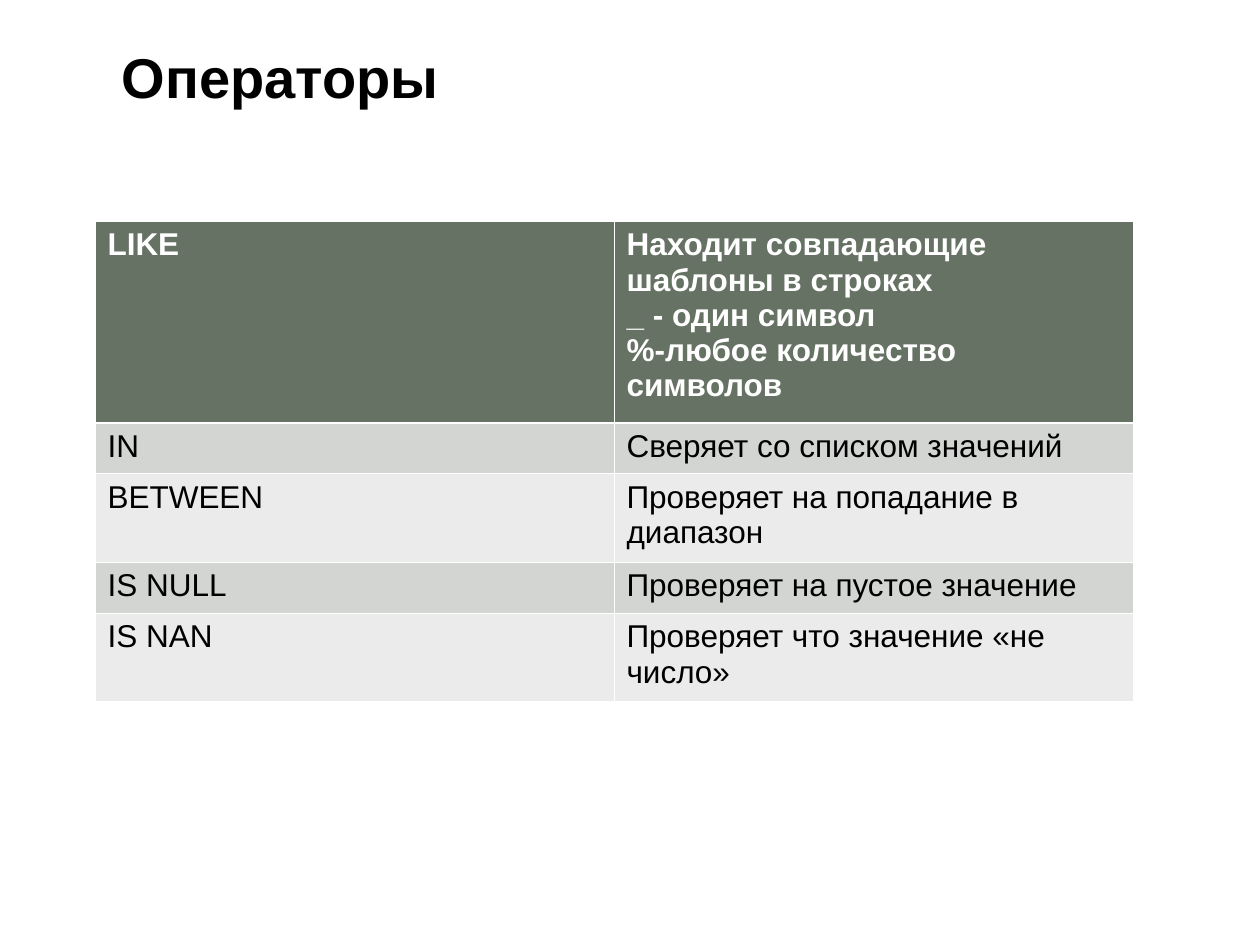
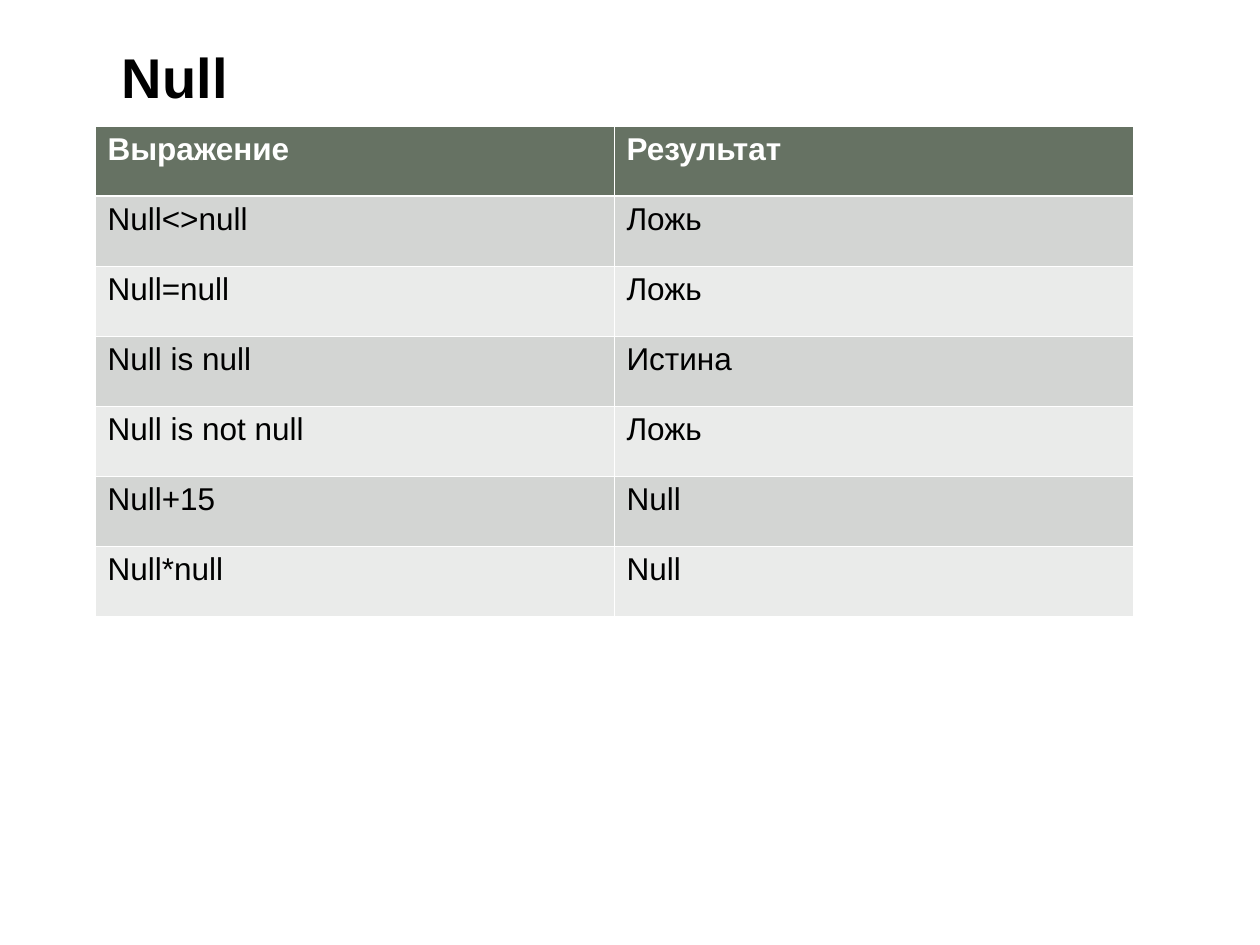
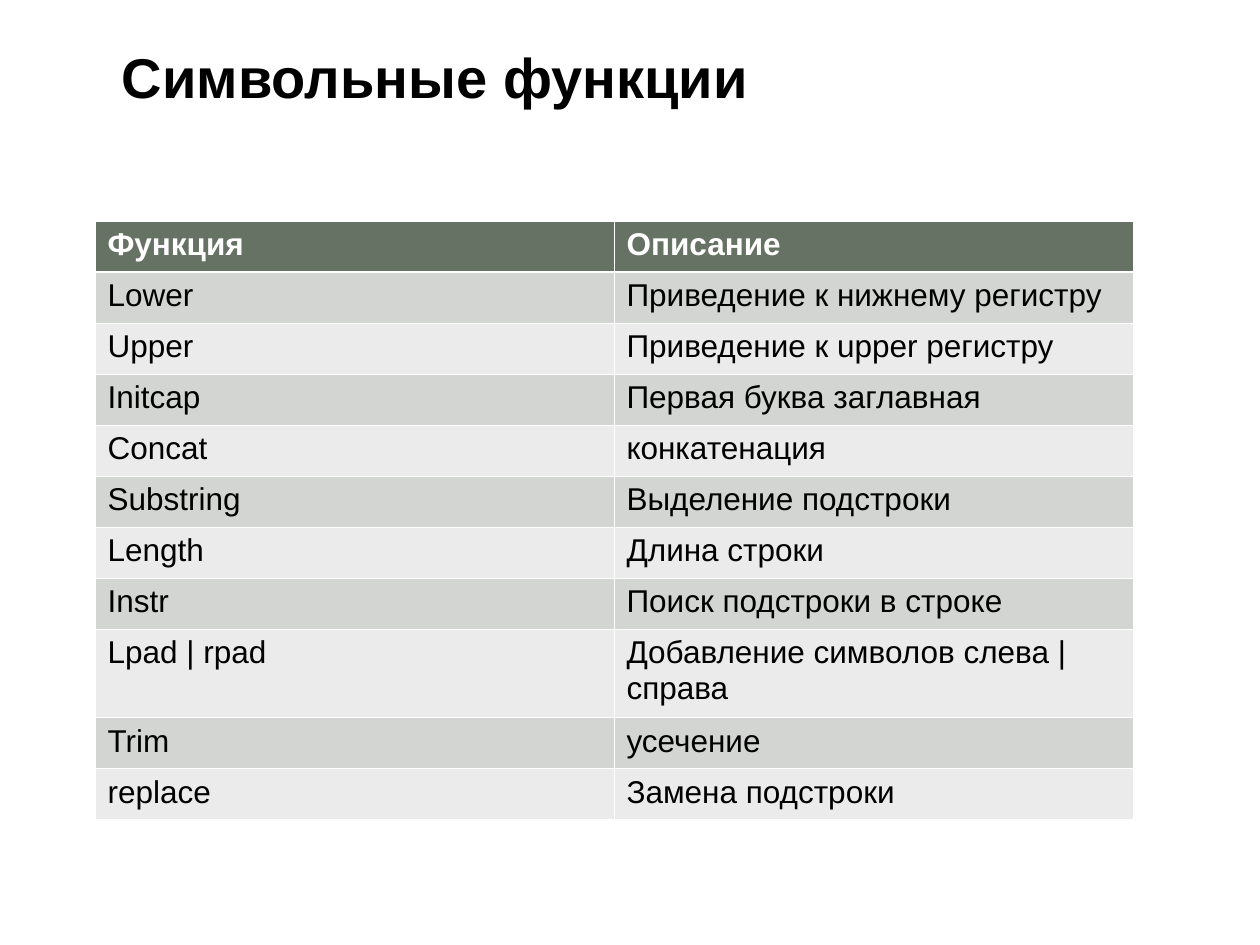
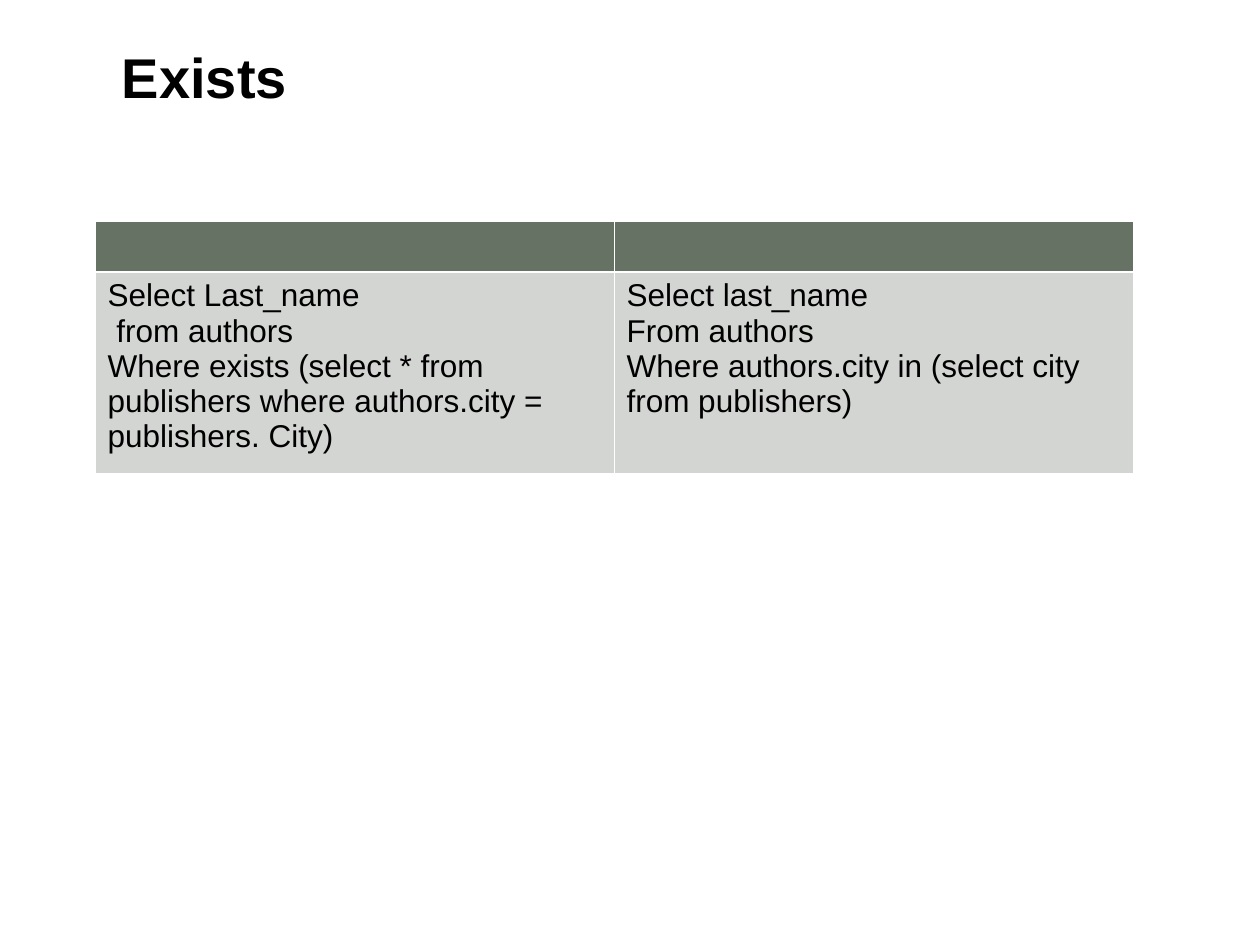
from dataclasses import dataclass

from lxml import etree
from pptx import Presentation
from pptx.dml.color import RGBColor
from pptx.enum.text import MSO_ANCHOR, PP_ALIGN
from pptx.oxml.ns import qn
from pptx.util import Emu, Pt

TOP = MSO_ANCHOR.TOP
LEFT = PP_ALIGN.LEFT
PX_PER_INCH = 126
BLANK_LAYOUT = 6

COLUMN_WIDTH = 519
TABLE_LEFT = 95
TABLE_TOP = 221
ONE_LINE, TWO_LINES, FIVE_LINES = 51, 88, 201


@dataclass(frozen=True)
class Theme:
    font: str = "Arial"
    title_size: int = 32
    table_size: int = 18
    text: str = "000000"
    header_text: str = "FFFFFF"
    header_fill: str = "667263"
    odd_fill: str = "D3D5D3"
    even_fill: str = "EAEBEA"
    border: str = "FFFFFF"
    thin: float = 0.45
    thick: float = 1.47


def px(length):
    return Emu(length * 914400 // PX_PER_INCH)


class Deck:
    def __init__(self, theme):
        self.theme = theme
        self.presentation = Presentation()
        self.presentation.slide_width = px(1260)
        self.presentation.slide_height = px(945)
        self.slide = None

    def add_slide(self, title):
        layout = self.presentation.slide_layouts[BLANK_LAYOUT]
        self.slide = self.presentation.slides.add_slide(layout)
        self.title(title)

    def styled_text(self, frame, text, size, color, bold):
        """Put each line of the text in its own styled paragraph."""
        frame.text = text
        for paragraph in frame.paragraphs:
            paragraph.alignment = LEFT
            font = paragraph.font
            font.name = self.theme.font
            font.size = Pt(size)
            font.bold = bold
            font.color.rgb = RGBColor.from_string(color)

    def title(self, text):
        box = self.slide.shapes.add_textbox(px(122), px(42), px(1045), px(130))
        frame = box.text_frame
        frame.word_wrap = True
        frame.vertical_anchor = TOP
        frame.margin_left = frame.margin_right = 0
        frame.margin_top = frame.margin_bottom = 0
        self.styled_text(frame, text, self.theme.title_size, self.theme.text, True)

    def borders(self, cell, row):
        """Draw thin edges, with a thick one between header and body."""
        thick_edge = {0: "lnB", 1: "lnT"}.get(row)
        properties = cell._tc.get_or_add_tcPr()
        for position, edge in enumerate(("lnL", "lnR", "lnT", "lnB")):
            width = self.theme.thick if edge == thick_edge else self.theme.thin
            line = etree.Element(qn(f"a:{edge}"), w=str(int(Pt(width))))
            fill = etree.SubElement(line, qn("a:solidFill"))
            etree.SubElement(fill, qn("a:srgbClr"), val=self.theme.border)
            properties.insert(position, line)

    def table(self, rows, heights, top=TABLE_TOP):
        theme = self.theme
        columns = len(rows[0])
        table = self.slide.shapes.add_table(
            len(rows), columns, px(TABLE_LEFT), px(top),
            px(COLUMN_WIDTH * columns), px(sum(heights))).table
        for column in table.columns:
            column.width = px(COLUMN_WIDTH)
        for r, (texts, height) in enumerate(zip(rows, heights)):
            table.rows[r].height = px(height)
            header = r == 0
            if header:
                fill = theme.header_fill
            else:
                fill = theme.odd_fill if r % 2 else theme.even_fill
            color = theme.header_text if header else theme.text
            for c, text in enumerate(texts):
                cell = table.cell(r, c)
                cell.vertical_anchor = TOP
                cell.fill.solid()
                cell.fill.fore_color.rgb = RGBColor.from_string(fill)
                self.styled_text(cell.text_frame, text, theme.table_size, color, header)
                self.borders(cell, r)


OPERATORS = [
    ("LIKE", "Находит совпадающие шаблоны в строках\n"
             "_ - один символ\n"
             "%-любое количество символов"),
    ("IN", "Сверяет со списком значений"),
    ("BETWEEN", "Проверяет на попадание в диапазон"),
    ("IS NULL", "Проверяет на пустое значение"),
    ("IS NAN", "Проверяет что значение «не число»"),
]

NULL_RESULTS = [
    ("Выражение", "Результат"),
    ("Null<>null", "Ложь"),
    ("Null=null", "Ложь"),
    ("Null is null", "Истина"),
    ("Null is not null", "Ложь"),
    ("Null+15", "Null"),
    ("Null*null", "Null"),
]

STRING_FUNCTIONS = [
    ("Функция", "Описание"),
    ("Lower", "Приведение к нижнему регистру"),
    ("Upper", "Приведение к upper регистру"),
    ("Initcap", "Первая буква заглавная"),
    ("Concat", "конкатенация"),
    ("Substring", "Выделение подстроки"),
    ("Length", "Длина строки"),
    ("Instr", "Поиск подстроки в строке"),
    ("Lpad | rpad", "Добавление символов слева | cправа"),
    ("Trim", "усечение"),
    ("replace", "Замена подстроки"),
]

EXISTS_QUERIES = [
    ("", ""),
    ("Select Last_name\n"
     " from authors\n"
     "Where exists (select * from publishers where authors.city = publishers. City)",
     "Select last_name\n"
     "From authors\n"
     "Where authors.city in (select city from publishers)"),
]


def main():
    deck = Deck(Theme())

    deck.add_slide("Операторы")
    deck.table(OPERATORS, [FIVE_LINES, ONE_LINE, TWO_LINES, ONE_LINE, TWO_LINES])

    deck.add_slide("Null")
    deck.table(NULL_RESULTS, [70] * len(NULL_RESULTS), top=126)

    deck.add_slide("Символьные функции")
    deck.table(STRING_FUNCTIONS, [ONE_LINE] * 8 + [TWO_LINES] + [ONE_LINE] * 2)

    deck.add_slide("Exists")
    deck.table(EXISTS_QUERIES, [ONE_LINE, FIVE_LINES])

    deck.presentation.save("out.pptx")


if __name__ == "__main__":
    main()
